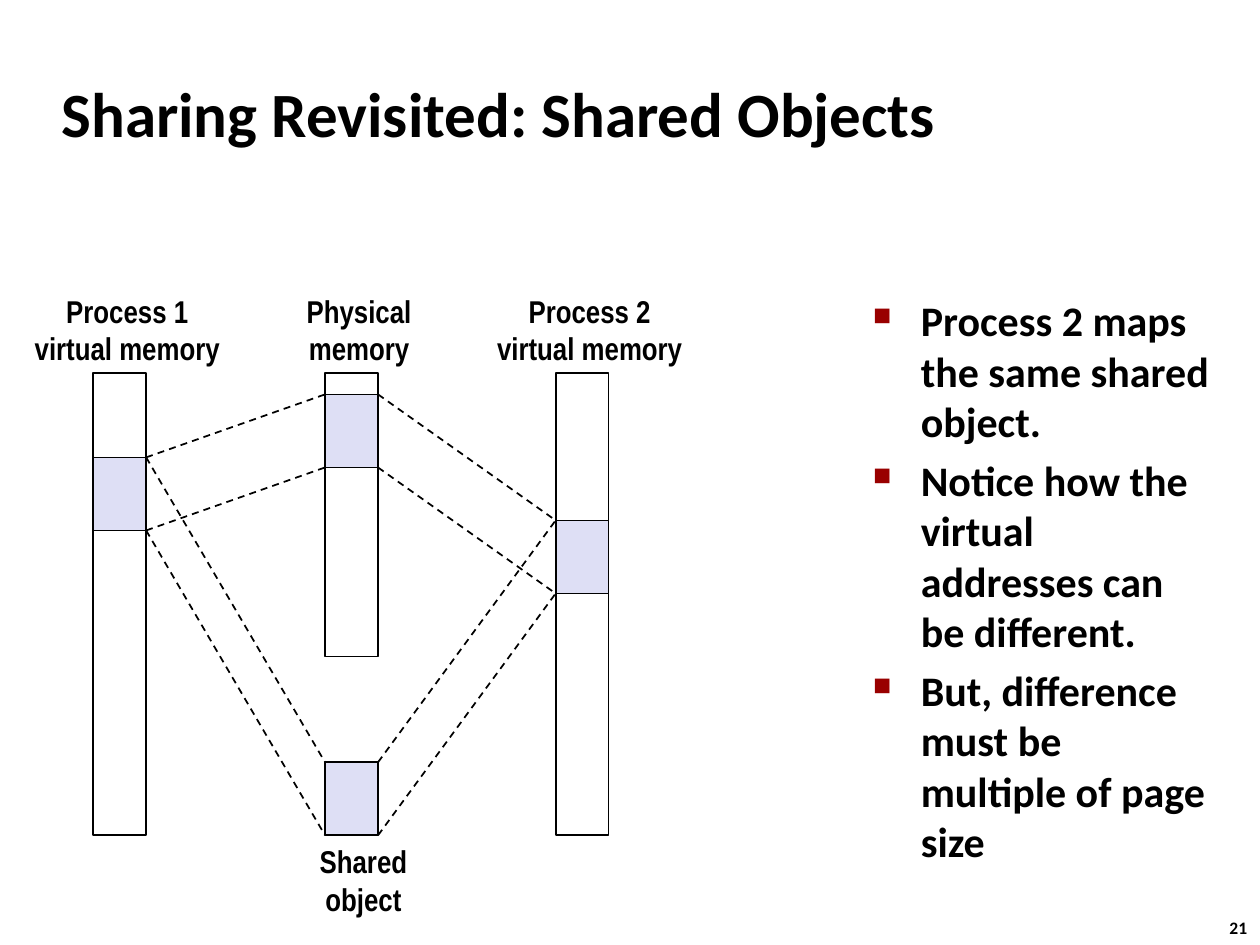
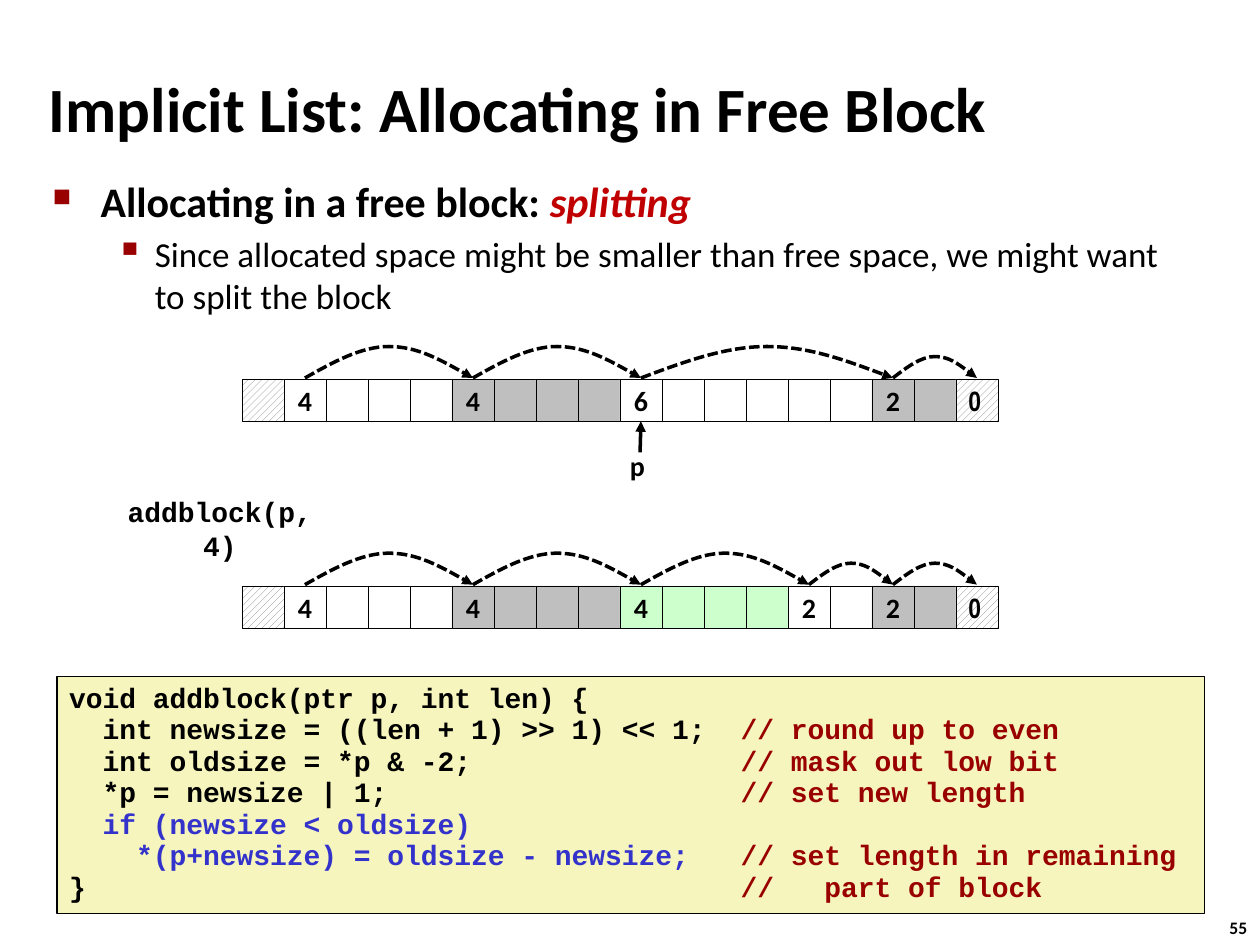
from lxml import etree
from pptx import Presentation
from pptx import util as u
from pptx.dml.color import RGBColor
from pptx.enum import dml, shapes, text
from pptx.oxml.ns import qn

Inches, Pt = u.Inches, u.Pt
COLORS = {
    "black": "000000", "white": "FFFFFF", "page": "DEDFF5", "bullet": "990000",
    "term": "C00000", "comment": "990000", "split": "3333CC", "code": "F6F5BD",
    "used": "BFBFBF", "new": "CCFFCC", "hatch": "808080",
}
BODY, NARROW, MONO = "Calibri", "Arial Narrow", "Courier New"
CENTER = text.PP_ALIGN.CENTER
MIDDLE = text.MSO_ANCHOR.MIDDLE
BULLETS = [("■", 60, 0.38, 0.38), ("▪", 110, 0.81, 0.31)]  # char, size %, margin, hang
CELL = 1 / 3


def rgb(name):
    return RGBColor.from_string(COLORS[name])


def style(paragraph, size, font=BODY, bold=True, color="black"):
    paragraph.font.size = Pt(size)
    paragraph.font.name = font
    paragraph.font.bold = bold
    paragraph.font.color.rgb = rgb(color)


def add_run(paragraph, words, color=None, italic=None):
    run = paragraph.add_run()
    run.text = words
    if color:
        run.font.color.rgb = rgb(color)
    if italic:
        run.font.italic = True


def paragraphs(frame, count):
    """Give the first paragraph of a frame and add the others."""
    return [frame.paragraphs[0]] + [frame.add_paragraph() for _ in range(count - 1)]


def add_frame(slide, box, wrap=True, anchor=text.MSO_ANCHOR.TOP):
    frame = slide.shapes.add_textbox(*map(Inches, box)).text_frame
    frame.word_wrap = wrap
    frame.vertical_anchor = anchor
    return frame


def add_label(slide, box, lines, size, font=BODY, align=None, anchor=MIDDLE, wrap=False):
    frame = add_frame(slide, box, wrap, anchor)
    for paragraph, line in zip(paragraphs(frame, len(lines)), lines):
        add_run(paragraph, line)
        paragraph.alignment = align
        style(paragraph, size, font)


def add_bullet(paragraph, level):
    char, size, margin, hang = BULLETS[level]
    props = paragraph._p.get_or_add_pPr()
    props.set("marL", str(Inches(margin)))
    props.set("indent", str(-Inches(hang)))
    color = etree.SubElement(props, qn("a:buClr"))
    etree.SubElement(color, qn("a:srgbClr"), val=COLORS["bullet"])
    etree.SubElement(props, qn("a:buSzPct"), val=str(size * 1000))
    etree.SubElement(props, qn("a:buChar"), char=char)


def add_bullets(slide, box, items):
    """Items are (level, runs); a run is (words, colour, italic)."""
    frame = add_frame(slide, box)
    for i, (paragraph, (level, runs)) in enumerate(zip(paragraphs(frame, len(items)), items)):
        size = (24, 20)[level]
        add_bullet(paragraph, level)
        if i:
            paragraph.space_before = Pt(size * 0.2)
        style(paragraph, size, bold=level == 0)
        for run in runs:
            add_run(paragraph, *run)


def add_rect(slide, box, fill=None, width=1.0):
    rect = slide.shapes.add_shape(shapes.MSO_SHAPE.RECTANGLE, *map(Inches, box))
    rect.shadow.inherit = False
    if fill == "hatch":
        rect.fill.patterned()
        rect.fill.pattern = dml.MSO_PATTERN.WIDE_UPWARD_DIAGONAL
        rect.fill.fore_color.rgb = rgb("hatch")
        rect.fill.back_color.rgb = rgb("white")
    elif fill:
        rect.fill.solid()
        rect.fill.fore_color.rgb = rgb(fill)
    else:
        rect.fill.background()
    rect.line.color.rgb = rgb("black")
    rect.line.width = Pt(width)
    return rect


def draw_line(shape, width, dash=None, arrow=False):
    shape.line.color.rgb = rgb("black")
    shape.line.width = Pt(width)
    if dash:
        shape.line.dash_style = dash
    if arrow:
        outline = shape._element.spPr.find(qn("a:ln"))
        etree.SubElement(outline, qn("a:tailEnd"), type="triangle")


def add_line(slide, start, end, width, dash=None, arrow=False):
    line = slide.shapes.add_connector(
        shapes.MSO_CONNECTOR.STRAIGHT, *map(Inches, (*start, *end)))
    draw_line(line, width, dash, arrow)
    etree.SubElement(line._element.spPr, qn("a:effectLst"))
    return line


def add_jump(slide, left, base, span, rise):
    """Draw a dashed arch of two Bézier curves that ends in an arrowhead."""
    arch = [(1 / 6, 0.5), (1 / 3, 1), (1 / 2, 1), (2 / 3, 1), (5 / 6, 0.5), (1, 0)]
    builder = slide.shapes.build_freeform(Inches(left), Inches(base))
    builder.add_line_segments(
        [(Inches(left + x * span), Inches(base - y * rise)) for x, y in arch], close=False)
    jump = builder.convert_to_shape()
    steps = list(jump._element.iter(qn("a:lnTo")))
    for first in (0, 3):
        curve = etree.Element(qn("a:cubicBezTo"))
        steps[first].addprevious(curve)
        for step in steps[first:first + 3]:
            curve.append(step[0])
            step.getparent().remove(step)
    jump.shadow.inherit = False
    jump.fill.background()
    draw_line(jump, 2, dml.MSO_LINE.SQUARE_DOT, arrow=True)


def new_slide(deck, title, title_box, number):
    slide = deck.slides.add_slide(deck.slide_layouts[6])
    add_label(slide, (9.66, 7.23, 0.37, 0.27), [number], 10, anchor=text.MSO_ANCHOR.TOP)
    add_label(slide, title_box, [title], 36, wrap=True)
    return slide


def memory_diagram(slide, left, top):
    """Draw two address spaces, physical memory and the object they share."""
    width, page, full = 0.42, 0.58, 3.67
    first, middle, second = left, left + 1.84, left + 3.67
    memories = [
        (first, full, 1.82, ["Process 1", "virtual memory"]),
        (middle, 2.25, 1.08, ["Physical", "memory"]),
        (second, full, 1.82, ["Process 2", "virtual memory"]),
    ]
    for x, height, label_width, lines in memories:
        add_rect(slide, (x, top, width, height))
        label_x = x + 0.27 - label_width / 2
        add_label(slide, (label_x, top - 0.7, label_width, 0.71), lines, 18, NARROW, CENTER)
    add_label(slide, (middle - 0.16, top + full, 0.93, 0.71),
              ["Shared", "object"], 18, NARROW, CENTER)

    page_1, page_2 = (first, top + 0.67), (second, top + 1.17)
    frame, shared = (middle, top + 0.17), (middle, top + full - page)
    for x, y in (page_1, page_2, frame, shared):
        add_rect(slide, (x, y, width, page), "page")
    for near, far in ((page_1, frame), (page_1, shared), (frame, page_2), (shared, page_2)):
        for edge in (0, page):
            add_line(slide, (near[0] + width, near[1] + edge), (far[0], far[1] + edge),
                     1, dml.MSO_LINE.DASH)


def block_row(slide, left, top, blocks):
    """Draw blocks of (size, fill, label) with jumps; return their first cells."""
    heads, x = [], left
    for index, (size, fill, label) in enumerate(blocks):
        cells = [add_rect(slide, (x + i * CELL, top, CELL, CELL), fill, 0.25)
                 for i in range(size)]
        heads.append(cells[0])
        if label:
            frame = cells[0].text_frame
            frame.word_wrap = False
            frame.vertical_anchor = MIDDLE
            paragraph = frame.paragraphs[0]
            add_run(paragraph, label)
            hatched = fill == "hatch"
            paragraph.alignment = text.PP_ALIGN.LEFT if hatched else CENTER
            style(paragraph, 16, NARROW if hatched else BODY)
        if 0 < index < len(blocks) - 1:
            add_jump(slide, x + CELL / 2, top - 0.01, size * CELL, 0.25 if size > 2 else 0.17)
        x += size * CELL
    return heads


def code_panel(slide, box, lines):
    """Show lines of (code, comment, colour), with comments on a tab stop."""
    frame = add_rect(slide, box, "code").text_frame
    frame.word_wrap = True
    frame.vertical_anchor = text.MSO_ANCHOR.TOP
    for paragraph, (code, comment, color) in zip(paragraphs(frame, len(lines)), lines):
        paragraph.alignment = text.PP_ALIGN.LEFT
        paragraph.line_spacing = 0.94
        tabs = etree.SubElement(paragraph._p.get_or_add_pPr(), qn("a:tabLst"))
        etree.SubElement(tabs, qn("a:tab"), pos=str(Inches(5.33)), algn="l")
        style(paragraph, 16, MONO)
        add_run(paragraph, code, color)
        if comment:
            add_run(paragraph, "\t" + comment, "comment")


def sharing_slide(deck):
    slide = new_slide(deck, "Sharing Revisited: Shared Objects", (0.39, 0.48, 8.3, 0.83), "21")
    memory_diagram(slide, 0.74, 2.96)
    notes = ["Process 2 maps the same shared object.",
             "Notice how the virtual addresses can be different.",
             "But, difference must be multiple of page size"]
    add_bullets(slide, (6.83, 2.29, 2.9, 5.04), [(0, [(note,)]) for note in notes])


def splitting_slide(deck):
    slide = new_slide(deck, "Implicit List: Allocating in Free Block",
                      (0.29, 0.54, 9.42, 0.63), "55")
    add_bullets(slide, (0.32, 1.34, 9.09, 1.3), [
        (0, [("Allocating in a free block: ",), ("splitting", "term", True)]),
        (1, [("Since allocated space might be smaller than free space, "
              "we might want to split the block",)]),
    ])
    start = [(1, "hatch", ""), (4, "white", "4"), (4, "used", "4")]
    end = [(2, "used", "2"), (1, "hatch", "0")]
    before = block_row(slide, 1.92, 3.01, start + [(6, "white", "6")] + end)
    block_row(slide, 1.92, 4.65, start + [(4, "new", "4"), (2, "white", "2")] + end)

    pointer = add_line(slide, (5.08, 3.59), (5.08, 3.34), 2, arrow=True)
    pointer.end_connect(before[3], 2)
    add_label(slide, (4.9, 3.51, 0.32, 0.37), ["p"], 16, anchor=text.MSO_ANCHOR.TOP)
    add_label(slide, (0.75, 4.03, 1.99, 0.33), ["addblock(p, 4)"], 16, MONO, CENTER)
    code_panel(slide, (0.45, 5.37, 9.11, 1.88), [
        ("void addblock(ptr p, int len) {", "", None),
        ("  int newsize = ((len + 1) >> 1) << 1;", "// round up to even", None),
        ("  int oldsize = *p & -2;", "// mask out low bit", None),
        ("  *p = newsize | 1;", "// set new length", None),
        ("  if (newsize < oldsize)", "", "split"),
        ("    *(p+newsize) = oldsize - newsize;", "// set length in remaining", "split"),
        ("}", "//   part of block", None),
    ])


def main():
    deck = Presentation()
    deck.slide_width, deck.slide_height = Inches(10), Inches(7.5)
    sharing_slide(deck)
    splitting_slide(deck)
    deck.save("out.pptx")


if __name__ == "__main__":
    main()
